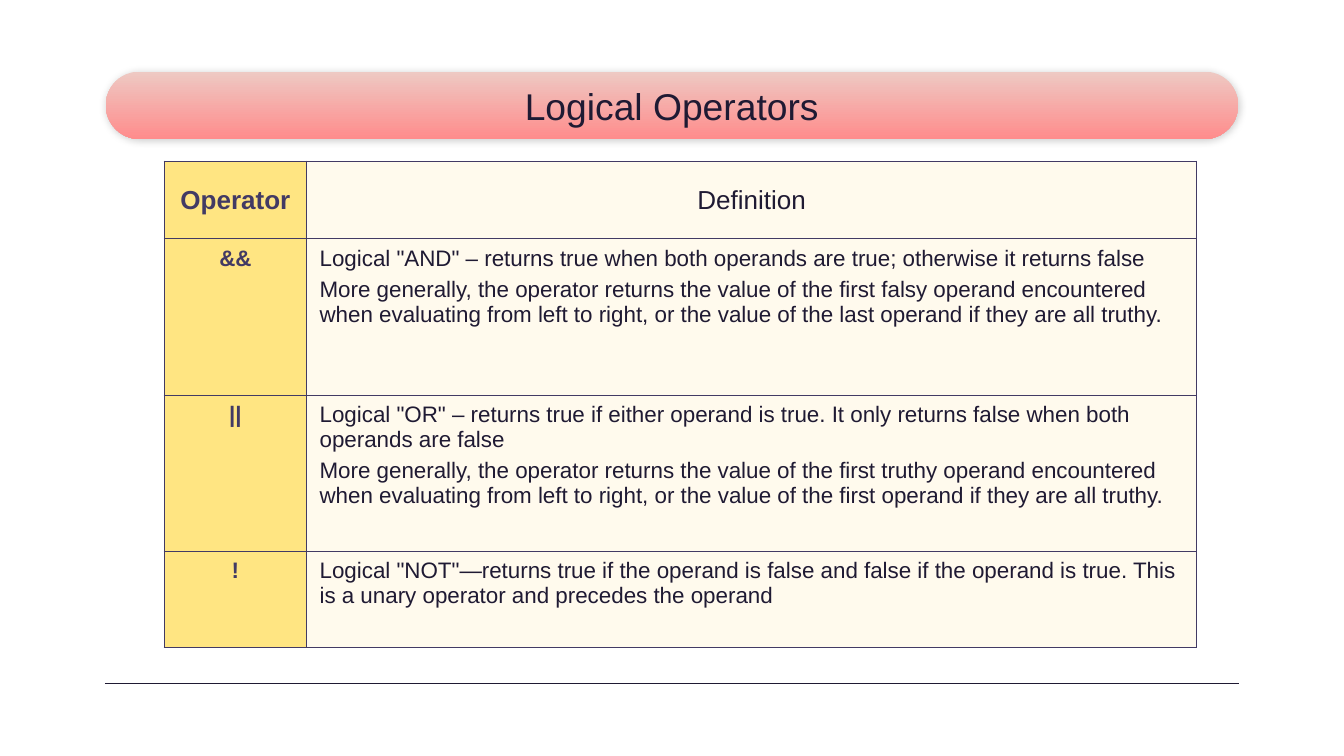
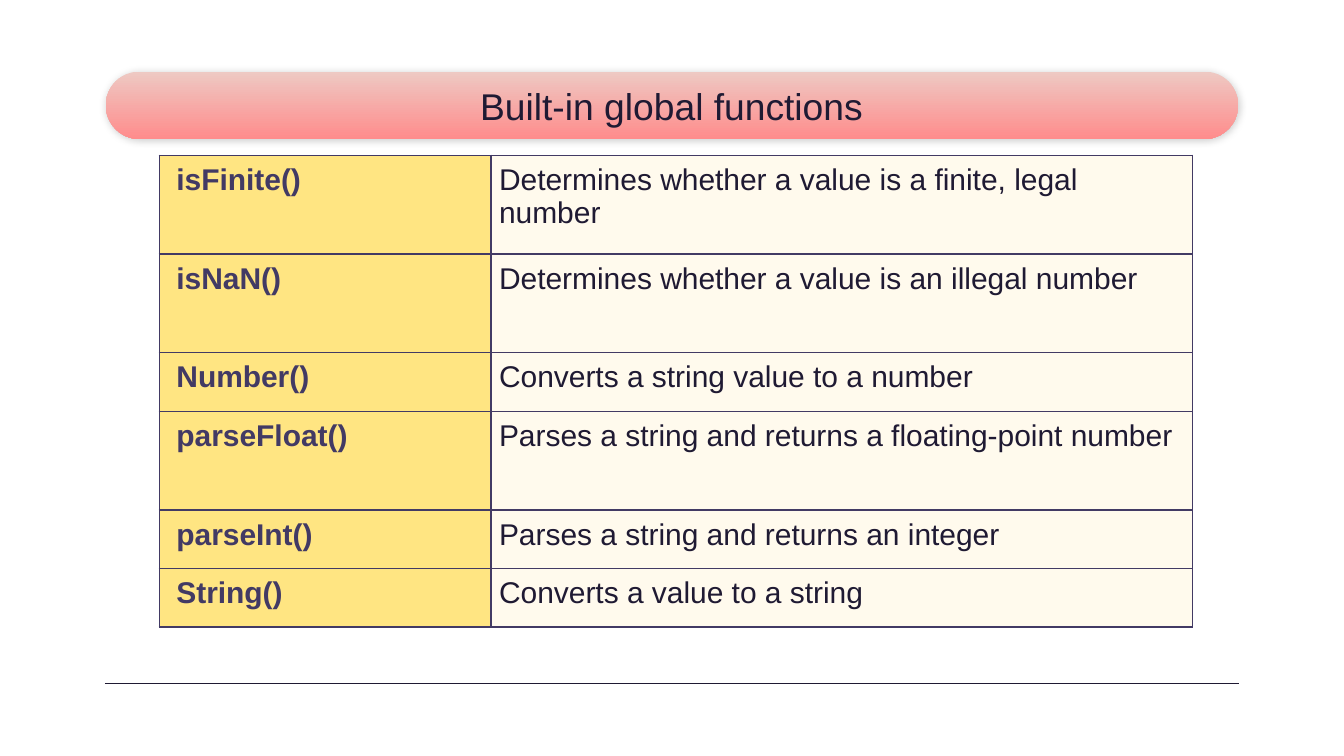
"""Build two slides on operators and global functions."""
from dataclasses import dataclass

from lxml import etree
from pptx import Presentation
from pptx.dml.color import RGBColor
from pptx.enum import shapes, text
from pptx.oxml import parse_xml
from pptx.oxml.ns import nsdecls, qn
from pptx.util import Inches, Pt


@dataclass(frozen=True)
class Theme:
    """Colours, font and type sizes shared by the slides."""
    font: str = "Arial"
    ink: str = "1F1A33"
    accent: str = "423A64"
    key_fill: str = "FFE582"
    body_fill: str = "FFFAED"
    band_top: str = "EEC9C3"
    band_bottom: str = "FF8C8C"
    title_size: float = 26.6
    header_size: float = 18.6
    operator_size: float = 16
    function_size: float = 21.4


THEME = Theme()
BAND = (1.05, 0.71, 11.23, 0.67)
RULE = (1.04, 6.78, 12.29, 6.78)

OPERATORS = {
    "title": "Logical Operators",
    "at": (1.63, 1.6),
    "columns": (1.41, 8.83),
    "heights": (0.77, 1.55, 1.55, 0.95),
    "header": True,
    "size": THEME.operator_size,
    "space_before": 4.8,
    "key_align": text.PP_ALIGN.CENTER,
    "margins": ((0.13, 0.07, 0.13, 0.07), (0.13, 0.07, 0.13, 0.07)),
    "rows": [
        ("Operator", "Definition"),
        ("&&", 'Logical "AND" – returns true when both operands are true; otherwise it returns false\n'
               "More generally, the operator returns the value of the first falsy operand encountered "
               "when evaluating from left to right, or the value of the last operand if they are all truthy."),
        ("||", 'Logical "OR" – returns true if either operand is true. It only returns false when both '
               "operands are false\n"
               "More generally, the operator returns the value of the first truthy operand encountered "
               "when evaluating from left to right, or the value of the first operand if they are all truthy."),
        ("!", 'Logical "NOT"—returns true if the operand is false and false if the operand is true. '
              "This is a unary operator and precedes the operand"),
    ],
}

FUNCTIONS = {
    "title": "Built-in global functions",
    "at": (1.58, 1.54),
    "columns": (3.29, 6.96),
    "heights": (0.98, 0.98, 0.58, 0.98, 0.58, 0.58),
    "header": False,
    "size": THEME.function_size,
    "space_before": 0,
    "key_align": text.PP_ALIGN.LEFT,
    "margins": ((0.17, 0.08, 0.08, 0.08), (0.08, 0.08, 0.08, 0.08)),
    "rows": [
        ("isFinite()", "Determines whether a value is a finite, legal number"),
        ("isNaN()", "Determines whether a value is an illegal number"),
        ("Number()", "Converts a string value to a number"),
        ("parseFloat()", "Parses a string and returns a floating-point number"),
        ("parseInt()", "Parses a string and returns an integer"),
        ("String()", "Converts a value to a string"),
    ],
}


def inches(values):
    """Turn numbers into lengths."""
    return [Inches(value) for value in values]


def colour(code):
    """Return the colour for a hex code."""
    return RGBColor.from_string(code)


def set_margins(holder, margins):
    """Set the left, top, right and bottom margins of a cell or text frame."""
    sides = ("left", "top", "right", "bottom")
    for side, margin in zip(sides, inches(margins)):
        setattr(holder, f"margin_{side}", margin)


def format_paragraph(paragraph, size, code, align, bold=False, space_before=0):
    """Set the type and spacing of a paragraph."""
    paragraph.alignment = align
    paragraph.space_before = Pt(space_before)
    paragraph.font.name = THEME.font
    paragraph.font.size = Pt(size)
    paragraph.font.bold = bold
    paragraph.font.color.rgb = colour(code)


def decorate_layout(layout, slide):
    """Draw the title band and bottom rule and move them to the layout."""
    band = slide.shapes.add_shape(shapes.MSO_SHAPE.ROUNDED_RECTANGLE, *inches(BAND))
    band.adjustments[0] = 0.5
    band.line.fill.background()
    band.fill.gradient()
    band.fill.gradient_angle = 270
    for stop, code in zip(band.fill.gradient_stops, (THEME.band_top, THEME.band_bottom)):
        stop.color.rgb = colour(code)
    band.shadow.inherit = False
    effects = band.element.spPr.find(qn("a:effectLst"))
    effects.append(parse_xml(
        f'<a:outerShdw {nsdecls("a")} blurRad="{Pt(5.6)}" dist="{Pt(0.8)}" dir="{66 * 60000}" '
        'rotWithShape="0"><a:srgbClr val="000000"><a:alpha val="20000"/></a:srgbClr></a:outerShdw>'))

    rule = slide.shapes.add_connector(shapes.MSO_CONNECTOR.STRAIGHT, *inches(RULE))
    rule.line.color.rgb = colour(THEME.ink)
    rule.line.width = Pt(0.75)
    etree.SubElement(rule.element.spPr, qn("a:effectLst"))

    for index, shape in enumerate((band, rule), start=2):
        layout.shapes.element.insert(index, shape.element)


def set_title(slide, wording):
    """Place and format the title over the band."""
    title = slide.shapes.title
    title.left, title.top, title.width, title.height = inches(BAND)
    frame = title.text_frame
    frame.text = wording
    frame.word_wrap = True
    frame.vertical_anchor = text.MSO_ANCHOR.MIDDLE
    set_margins(frame, (0.1, 0.1, 0.1, 0.1))
    format_paragraph(frame.paragraphs[0], THEME.title_size, THEME.ink, text.PP_ALIGN.CENTER)


def add_borders(cell):
    """Outline a cell on all four sides."""
    properties = cell._tc.get_or_add_tcPr()
    for index, side in enumerate("LRTB"):
        properties.insert(index, parse_xml(
            f'<a:ln{side} {nsdecls("a")} w="{Pt(1)}"><a:solidFill>'
            f'<a:srgbClr val="{THEME.accent}"/></a:solidFill></a:ln{side}>'))


def fill_cell(cell, wording, content, is_key, is_header):
    """Write and format one table cell."""
    cell.text = wording
    cell.fill.solid()
    cell.fill.fore_color.rgb = colour(THEME.key_fill if is_key else THEME.body_fill)
    cell.vertical_anchor = text.MSO_ANCHOR.MIDDLE if is_header else text.MSO_ANCHOR.TOP
    set_margins(cell, content["margins"][0 if is_key else 1])
    align = content["key_align"] if is_key else text.PP_ALIGN.LEFT
    for paragraph in cell.text_frame.paragraphs:
        format_paragraph(
            paragraph,
            THEME.header_size if is_header else content["size"],
            THEME.accent if is_key else THEME.ink,
            text.PP_ALIGN.CENTER if is_header else align,
            bold=is_key,
            space_before=0 if is_header else content["space_before"])
    add_borders(cell)


def add_content_table(slide, content):
    """Add the two-column table of a slide."""
    rows, columns, heights = content["rows"], content["columns"], content["heights"]
    table = slide.shapes.add_table(
        len(rows), len(columns), *inches((*content["at"], sum(columns), sum(heights)))).table
    table.first_row = content["header"]
    table.horz_banding = False
    for column, width in zip(table.columns, inches(columns)):
        column.width = width
    for row, height in zip(table.rows, inches(heights)):
        row.height = height
    for row_index, row in enumerate(rows):
        is_header = content["header"] and row_index == 0
        for column_index, wording in enumerate(row):
            fill_cell(table.cell(row_index, column_index), wording, content,
                      column_index == 0, is_header)


def main():
    """Build and save the presentation."""
    presentation = Presentation()
    presentation.slide_width, presentation.slide_height = inches((13.33, 7.5))
    layout = presentation.slide_layouts[5]
    for index, content in enumerate((OPERATORS, FUNCTIONS)):
        slide = presentation.slides.add_slide(layout)
        if index == 0:
            decorate_layout(layout, slide)
        set_title(slide, content["title"])
        add_content_table(slide, content)
    presentation.save("out.pptx")


if __name__ == "__main__":
    main()
